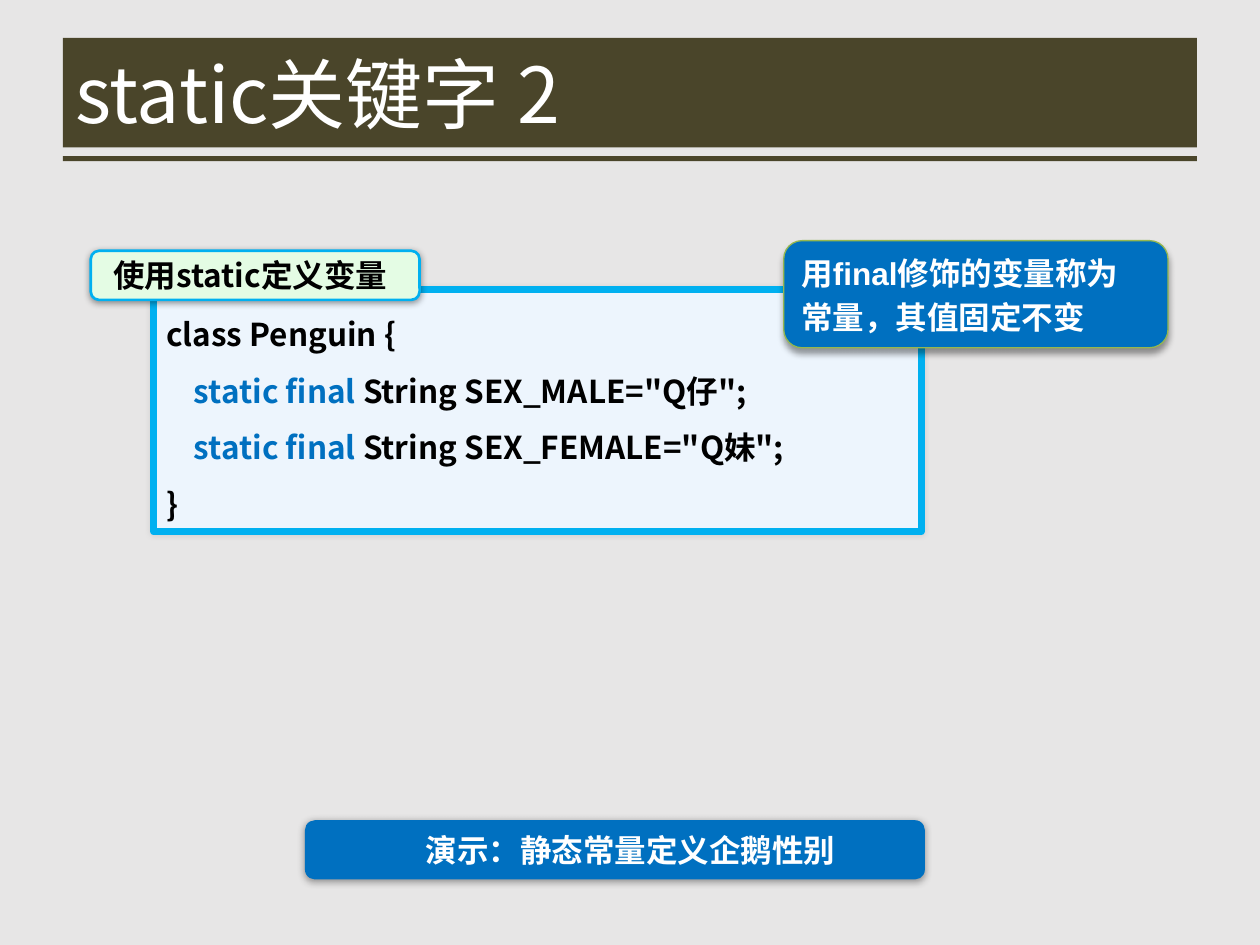
from dataclasses import dataclass
from typing import Optional

from lxml import etree
from pptx import Presentation
from pptx.dml.color import RGBColor
from pptx.enum.shapes import MSO_SHAPE
from pptx.enum.text import MSO_ANCHOR
from pptx.oxml.ns import qn
from pptx.util import Inches, Pt

RECT = MSO_SHAPE.RECTANGLE
ROUND = MSO_SHAPE.ROUNDED_RECTANGLE
PILL = MSO_SHAPE.FLOWCHART_ALTERNATE_PROCESS
CALL = MSO_SHAPE.ROUNDED_RECTANGULAR_CALLOUT
TOP, MID, LOW = MSO_ANCHOR.TOP, MSO_ANCHOR.MIDDLE, MSO_ANCHOR.BOTTOM

HEX = {
    "back": "E7E6E6", "olive": "4A452A", "white": "FFFFFF", "black": "000000",
    "blue": "0070C0", "sky": "00B0F0", "pale": "EDF5FD", "mint": "E4FCE4",
    "leaf": "95B74F", "dark": "262626",
}
CJK = "Noto Sans CJK SC"

# Grid of 100 columns by 75 rows
WIDE, HIGH = Inches(10), Inches(7.5)
COL, ROW = WIDE / 100, HIGH / 75


@dataclass
class Shade:
    tint: str
    alpha: int
    blur: float
    dist: float
    turn: int


@dataclass
class Text:
    lines: list  # each line is a list of (words, colour)
    size: int = 18
    face: str = CJK
    bold: bool = True
    anchor: MSO_ANCHOR = TOP
    wrap: bool = True
    left: float = 1  # inset in columns
    inner: float = 0  # indent of the lines between first and last
    form: Optional[dict] = None  # paragraph format values


@dataclass
class Box:
    at: tuple  # left, top, width, height in columns and rows
    kind: Optional[MSO_SHAPE] = None  # None makes a text box
    fill: str = ""
    line: Optional[tuple] = None
    adj: tuple = ()
    shade: Optional[Shade] = None
    text: Optional[Text] = None


def rgb(name: str) -> RGBColor:
    return RGBColor.from_string(HEX[name])


def put(item, vals: dict) -> None:
    for key, val in vals.items():
        setattr(item, key, val)


def cast(shape, shade: Shade) -> None:
    """Add an outer shadow to the shape's effect list."""
    root = shape._element.spPr.find(qn("a:effectLst"))
    outer = etree.SubElement(
        root, qn("a:outerShdw"), blurRad=str(Pt(shade.blur)),
        dist=str(Pt(shade.dist)), dir=str(shade.turn * 60000),
        algn="ctr", rotWithShape="0")
    tint = etree.SubElement(outer, qn("a:srgbClr"), val=HEX[shade.tint])
    etree.SubElement(tint, qn("a:alpha"), val=str(shade.alpha * 1000))


def write(shape, text: Text) -> None:
    frame = shape.text_frame
    put(frame, {"word_wrap": text.wrap, "vertical_anchor": text.anchor,
                "margin_left": int(text.left * COL)})
    last = len(text.lines) - 1
    for n, line in enumerate(text.lines):
        para = frame.add_paragraph() if n else frame.paragraphs[0]
        put(para, text.form or {})
        props = para._p.get_or_add_pPr()
        props.set("algn", "l")
        if text.inner and 0 < n < last:
            props.set("marL", str(int(text.inner * COL)))
        for words, tint in line:
            run = para.add_run()
            run.text = words
            put(run.font, {"name": text.face, "size": Pt(text.size),
                           "bold": text.bold})
            run.font.color.rgb = rgb(tint)
            etree.SubElement(run._r.get_or_add_rPr(), qn("a:ea"), typeface=CJK)


def draw(slide, box: Box) -> None:
    x, y, w, h = box.at
    area = [int(v) for v in (x * COL, y * ROW, w * COL, h * ROW)]
    if box.kind is None:
        shape = slide.shapes.add_textbox(*area)
    else:
        shape = slide.shapes.add_shape(box.kind, *area)
        for n, val in enumerate(box.adj):
            shape.adjustments[n] = val
        shape.fill.solid()
        shape.fill.fore_color.rgb = rgb(box.fill)
        if box.line:
            tint, width = box.line
            shape.line.color.rgb = rgb(tint)
            shape.line.width = Pt(width)
        else:
            shape.line.fill.background()
        shape.shadow.inherit = False
        if box.shade:
            cast(shape, box.shade)
    if box.text:
        write(shape, box.text)


def field(name: str, value: str) -> list:
    return [("static final ", "blue"), (f'String {name}="{value}";', "black")]


CODE = [
    [("class Penguin {", "black")],
    field("SEX_MALE", "Q仔"),
    field("SEX_FEMALE", "Q妹"),
    [("}", "black")],
]
NOTE = [[(words, "white")]
        for words in ("用final修饰的变量称为", "常量，其值固定不变")]

BOXES = [
    # Title band and rule
    Box((5, 3, 90, 8.7), RECT, "olive"),
    Box((5, 12.4, 90, 0.4), RECT, "olive"),
    Box((5, 3, 90, 8.7), text=Text(
        [[("static关键字 2", "white")]], size=44, bold=False, anchor=MID)),
    # Code panel and its label
    Box((12.2, 23, 60.9, 19.2), ROUND, "pale", ("sky", 4), (0,),
        Shade("black", 10, 3, 0, 0),
        Text(CODE, inner=2.2, form={"line_spacing": 1.5})),
    Box((7.2, 19.9, 26.1, 3.9), ROUND, "mint", ("sky", 1.5), (0.17,),
        Shade("black", 40, 4, 1, 90),
        Text([[("使用static定义变量", "black")]], anchor=MID, left=1.6)),
    # Demo bar
    Box((24.2, 65.1, 49.2, 4.7), PILL, "blue",
        shade=Shade("dark", 43, 4, 1, 90)),
    Box((32.8, 65.5, 34.8, 4), text=Text(
        [[("演示：静态常量定义企鹅性别", "white")]], wrap=False)),
    # Callout
    Box((62.2, 19.1, 30.5, 8.5), CALL, "blue", ("leaf", 0.75),
        (-0.5, 0.05, 0.17), Shade("black", 40, 4, 3, 90),
        Text(NOTE, face="Arial", anchor=LOW, form={"space_before": Pt(3.6)})),
]


def main() -> None:
    deck = Presentation()
    put(deck, {"slide_width": WIDE, "slide_height": HIGH})
    slide = deck.slides.add_slide(deck.slide_layouts[6])
    slide.background.fill.solid()
    slide.background.fill.fore_color.rgb = rgb("back")
    for box in BOXES:
        draw(slide, box)
    deck.save("out.pptx")


if __name__ == "__main__":
    main()
